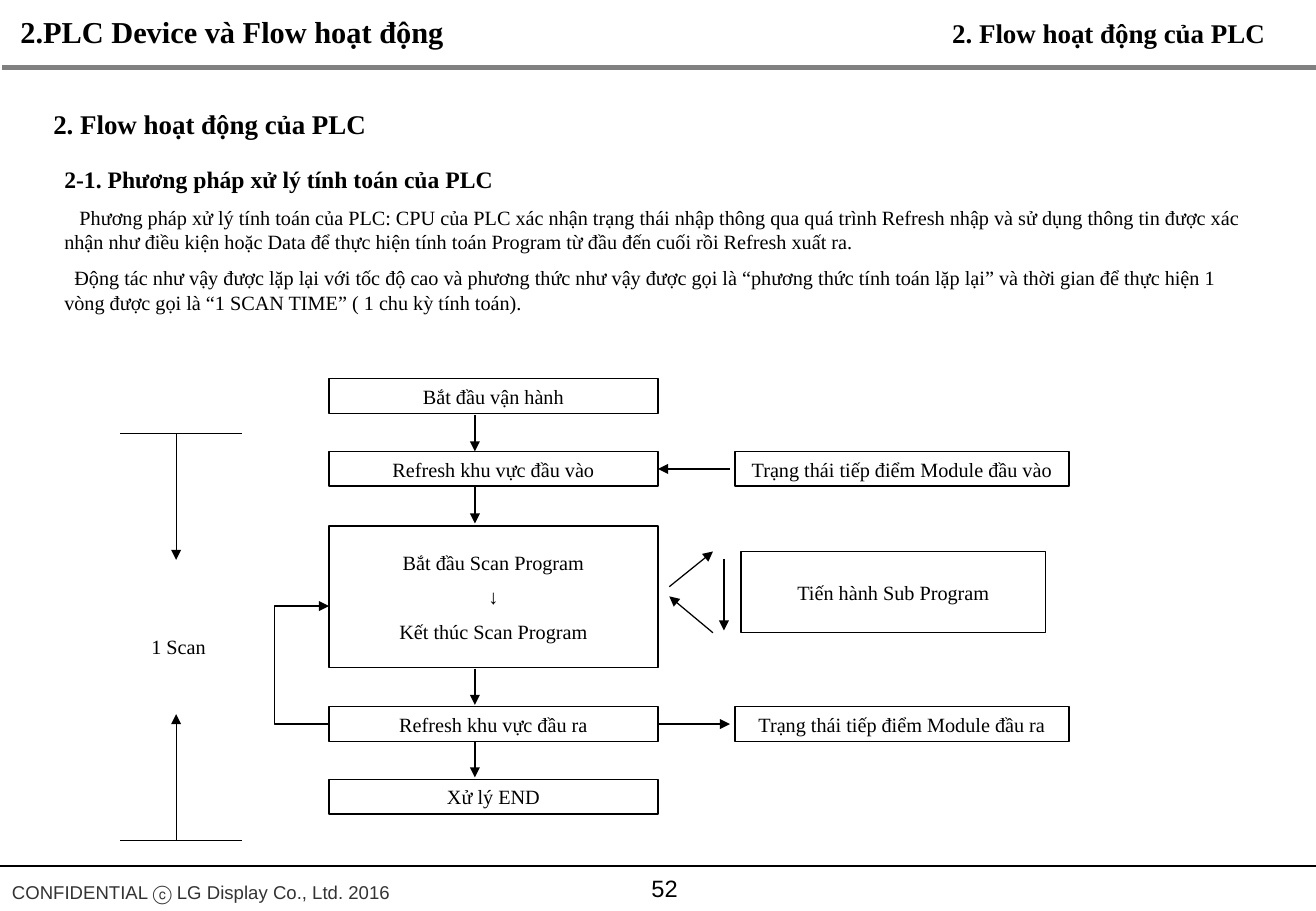
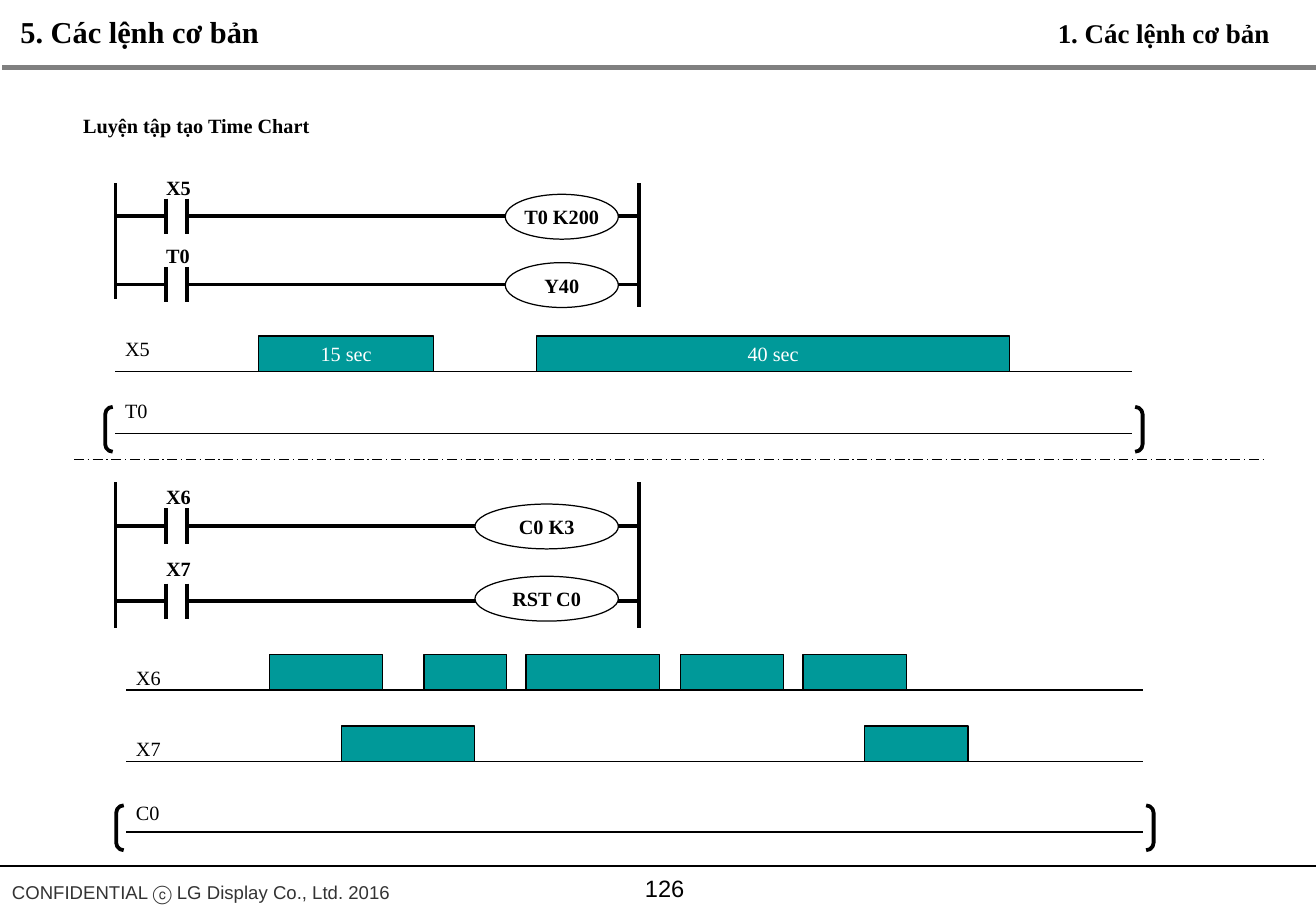
from dataclasses import dataclass

from lxml import etree
from pptx import Presentation
from pptx import util as u
from pptx.dml.color import RGBColor
from pptx.enum import dml, shapes, text
from pptx.oxml.ns import qn

Pt = u.Pt
KIND = shapes.MSO_SHAPE
ALIGN = text.PP_ALIGN
MID = text.MSO_ANCHOR.MIDDLE


@dataclass(frozen=True)
class Theme:
    ink: str = "000000"
    paper: str = "FFFFFF"
    rule: str = "808080"
    note: str = "333333"
    pulse: str = "009999"
    serif: str = "Times New Roman"
    sans: str = "Arial"
    title: int = 18
    head: int = 16
    sub: int = 14
    body: int = 12
    foot: int = 11
    thin: float = 0.75
    bold: float = 2.25
    band: float = 3


T = Theme()


def tint(code):
    return RGBColor.from_string(code)


def write(frame, line, size=T.body, bold=False, color=T.ink, font=T.serif,
          align=ALIGN.LEFT, before=0, indent=0, spacing=None):
    para = frame.paragraphs[0] if not frame.text else frame.add_paragraph()
    if indent:
        para._p.get_or_add_pPr().set("indent", str(Pt(indent)))
    para.alignment = align
    if before:
        para.space_before = Pt(before)
    if spacing:
        para.line_spacing = spacing
    run = para.add_run()
    run.text = line
    run.font.name = font
    run.font.size = Pt(size)
    run.font.bold = bold
    run.font.color.rgb = tint(color)


def area(slide, x, y, w, h, wrap=False, grow=True):
    frame = slide.shapes.add_textbox(Pt(x), Pt(y), Pt(w), Pt(h)).text_frame
    frame.word_wrap = wrap
    if grow:
        frame.auto_size = text.MSO_AUTO_SIZE.SHAPE_TO_FIT_TEXT
    return frame


def label(slide, line, x, y, w, h=21.6, **look):
    write(area(slide, x, y, w, h), line, **look)


def stroke(item, color=T.ink, width=T.thin, arrow=False):
    item.line.color.rgb = tint(color)
    item.line.width = Pt(width)
    if arrow:
        edge = item._element.spPr.find(qn("a:ln"))
        etree.SubElement(edge, qn("a:tailEnd"), type="triangle")


def line(slide, x1, y1, x2, y2, dash=None, **look):
    item = slide.shapes.add_connector(
        shapes.MSO_CONNECTOR.STRAIGHT, Pt(x1), Pt(y1), Pt(x2), Pt(y2))
    stroke(item, **look)
    if dash:
        item.line.dash_style = dash
    etree.SubElement(item._element.spPr, qn("a:effectLst"))
    return item


def block(slide, x, y, w, h, *lines, kind=KIND.RECTANGLE, fill=None,
          width=T.thin, wrap=True, **look):
    item = slide.shapes.add_shape(kind, Pt(x), Pt(y), Pt(w), Pt(h))
    item.shadow.inherit = False
    if fill:
        item.fill.solid()
        item.fill.fore_color.rgb = tint(fill)
    else:
        item.fill.background()
    stroke(item, width=width)
    frame = item.text_frame
    frame.word_wrap = wrap
    frame.vertical_anchor = MID
    for i, part in enumerate(lines):
        write(frame, part, align=ALIGN.CENTER, before=6 if i else 0, **look)
    return item


def page(deck, title, topic, left, wide, number):
    slide = deck.slides.add_slide(deck.slide_layouts[6])
    line(slide, 1.5, 40.3, 780, 40.3, color=T.rule, width=T.band)
    label(slide, "CONFIDENTIAL ⓒ LG Display Co., Ltd. 2016", 0, 516.2, 240.5,
          size=T.foot, font=T.sans, color=T.note, spacing=1.2)
    frame = area(slide, 319, 508.3, 149.8, 36, wrap=True, grow=False)
    frame.vertical_anchor = MID
    write(frame, number, size=T.sub, font=T.sans, align=ALIGN.CENTER)
    line(slide, 0, 513.3, 780, 513.3)
    label(slide, title[0], 5, 4.3, title[1], 28.8, size=T.title, bold=True)
    label(slide, topic, left, 6.5, wide, 26.6, size=T.head, bold=True)
    return slide


def intro(slide):
    label(slide, "2. Flow hoạt động của PLC", 24.5, 60.5, 202.3, 26.6,
          size=T.head, bold=True)
    frame = area(slide, 31, 94.3, 716.4, 97.2, wrap=True)
    write(frame, "2-1. Phương pháp xử lý tính toán của PLC",
          size=T.sub, bold=True)
    write(frame, "Phương pháp xử lý tính toán của PLC: CPU của PLC xác nhận "
          "trạng thái nhập thông qua quá trình Refresh nhập và sử dụng thông "
          "tin được xác nhận như điều kiện hoặc Data để thực hiện tính toán "
          "Program từ đầu đến cuối rồi Refresh xuất ra.", before=7, indent=9)
    write(frame, "Động tác như vậy được lặp lại với tốc độ cao và phương thức "
          "như vậy được gọi là “phương thức tính toán lặp lại” và thời gian "
          "để thực hiện 1 vòng được gọi là “1 SCAN TIME” ( 1 chu kỳ tính "
          "toán).", before=7, indent=6)


def flow(slide):
    x, wide, tall = 195, 195, 20.4
    steps = [
        (224.6, tall, ["Bắt đầu vận hành"]),
        (267.8, tall, ["Refresh khu vực đầu vào"]),
        (311.8, 84, ["Bắt đầu Scan Program", "↓", "Kết thúc Scan Program"]),
        (419, tall, ["Refresh khu vực đầu ra"]),
        (462.2, tall, ["Xử lý END"]),
    ]
    boxes = [block(slide, x, y, wide, h, *lines) for y, h, lines in steps]
    for y in (246.2, 288.9, 396.4, 439.4):
        line(slide, 281.5, y, 281.5, y + 21.4, arrow=True)

    into, out = steps[1][0], steps[3][0]
    side, far = x + wide, 432.7
    for y, part in ((into, "vào"), (out, "ra")):
        block(slide, 435.6, y, 198, tall,
              f"Trạng thái tiếp điểm Module đầu {part}")
    y = into + tall / 2
    line(slide, far, y, side, y, arrow=True).end_connect(boxes[1], 3)
    y = out + tall / 2
    line(slide, side, y, far, y, arrow=True).begin_connect(boxes[3], 3)

    block(slide, 439.2, 326.9, 180.7, 48.2, "Tiến hành Sub Program")
    for ends in ((422.6, 375.1, 396.7, 353.5), (396.7, 347.8, 422.6, 326.9),
                 (429.1, 331.2, 429.1, 373.7)):
        line(slide, *ends, arrow=True)

    path = slide.shapes.build_freeform(Pt(x), Pt(y))
    path.add_line_segments([(Pt(162.7), Pt(y)), (Pt(162.7), Pt(359.3)),
                            (Pt(x), Pt(359.3))], close=False)
    loop = path.convert_to_shape()
    loop.shadow.inherit = False
    loop.fill.background()
    stroke(loop, arrow=True)


def span(slide):
    for y, step in ((257, 74.9), (498.2, -74.9)):
        line(slide, 71.3, y, 143.3, y)
        line(slide, 104.4, y, 104.4, y + step, arrow=True)
    label(slide, "1 Scan", 82.1, 372.2, 47.5, align=ALIGN.CENTER)


RAIL, END = 68.4, 378.7


def rung(slide, y, name, coil, wide, drop=0):
    wire = y + drop
    gap = (98.6, 110.9)
    line(slide, RAIL, wire, gap[0], wire, width=T.bold)
    line(slide, gap[1], wire, END, wire, width=T.bold)
    for x in gap:
        line(slide, x, wire - 10.5, x, wire + 10.5, width=T.bold)
    block(slide, 366.5 - wide, y - 13, wide, 26.6, coil, kind=KIND.OVAL,
          fill=T.paper, wrap=False, bold=True)
    label(slide, name, 91.4, y - 28.1, 29.5, bold=True)


def rails(slide, top, left, right):
    for x, low in ((RAIL, left), (END, right)):
        line(slide, x, top, x, low, width=T.bold)


def trace(slide, x, y, name, lift, bars=()):
    line(slide, x, y, x + 602.4, y)
    label(slide, name, x - 1.4, y - lift, 29.5)
    for left, wide, *lines in bars:
        block(slide, left, y - 21.1, wide, 21.1, *lines, fill=T.pulse,
              color=T.paper, wrap=False)
    if not bars:
        pair = block(slide, x - 6, y - 15.8, 614.9, 26.6,
                     kind=KIND.DOUBLE_BRACKET, width=T.bold)
        pair.adjustments[0] = 0.167


def timer(slide):
    rails(slide, 108.7, 177.1, 182.2)
    rung(slide, 128.2, "X5", "T0 K200", 67)
    rung(slide, 168.7, "T0", "Y40", 67)
    trace(slide, RAIL, 220.3, "X5", 24.4,
          [(153.4, 103.7, "15 sec"), (318.2, 280.1, "40 sec")])
    trace(slide, RAIL, 257, "T0", 24.4)


def count(slide):
    lane = 74.9
    rails(slide, 285.8, 372.2, 372.2)
    rung(slide, 311.8, "X6", "C0 K3", 85)
    rung(slide, 354.6, "X7", "RST C0", 85, drop=1.8)
    trace(slide, lane, 409, "X6", 18,
          [(159.8, 67), (251.3, 49), (311.8, 79.2), (403.2, 61.2),
           (475.9, 61.2)])
    trace(slide, lane, 451.4, "X7", 18.7, [(202.3, 79.2), (512.6, 61.2)])
    trace(slide, lane, 493.2, "C0", 22.3)


def main():
    deck = Presentation()
    deck.slide_width, deck.slide_height = Pt(780), Pt(540)

    slide = page(deck, ("2.PLC Device và Flow hoạt động", 267.8),
                 "2. Flow hoạt động của PLC", 557.3, 202.3, "52")
    intro(slide)
    flow(slide)
    span(slide)

    slide = page(deck, ("5. Các lệnh cơ bản", 157.7),
                 "1. Các lệnh cơ bản", 619.9, 141.8, "126")
    label(slide, "Luyện tập tạo Time Chart", 42.2, 63.4, 149.8, bold=True)
    timer(slide)
    line(slide, 43.9, 272.2, 750.2, 272.2,
         dash=dml.MSO_LINE.LONG_DASH_DOT)
    count(slide)

    deck.save("out.pptx")


if __name__ == "__main__":
    main()
